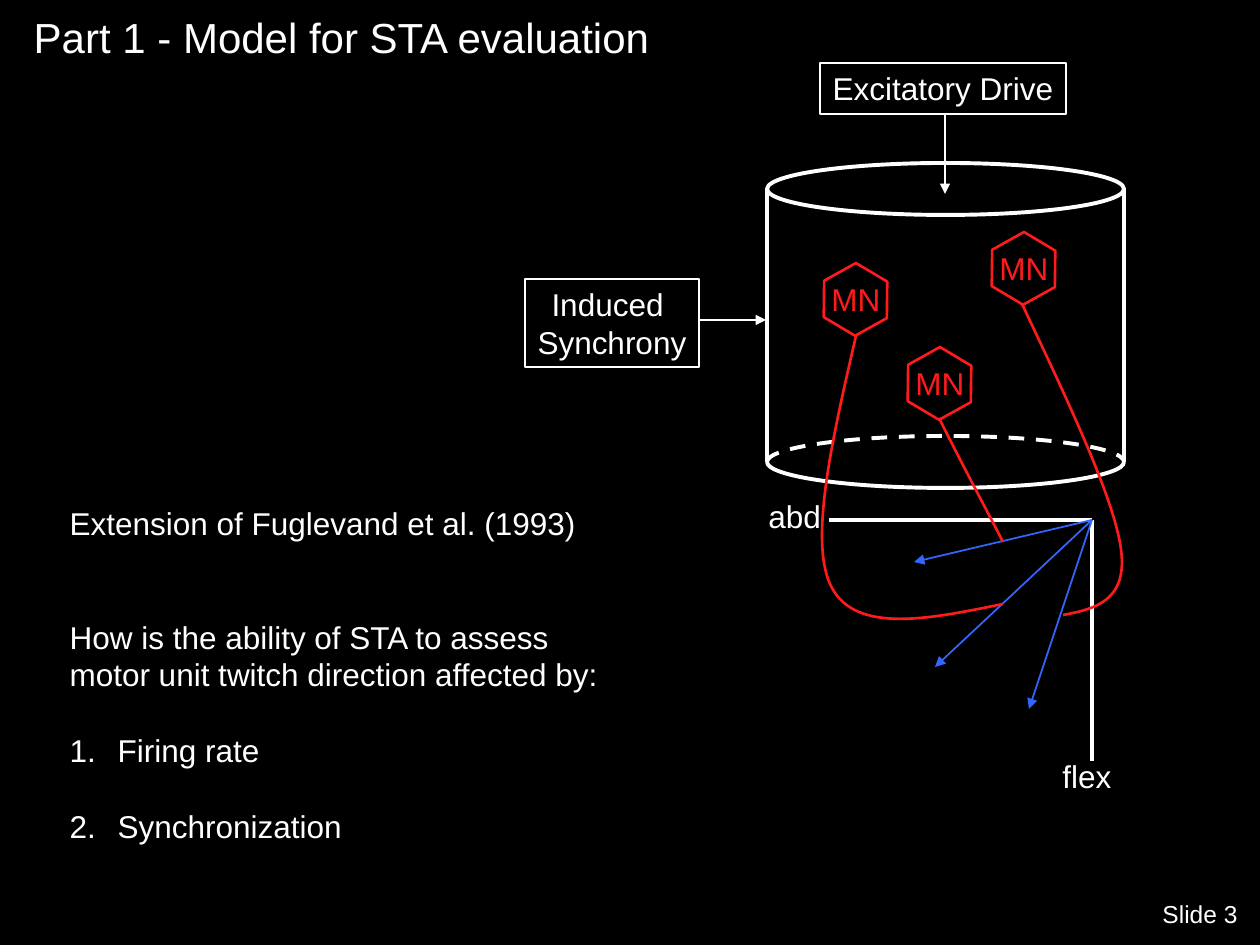
from dataclasses import dataclass

from lxml import etree
from pptx import Presentation
from pptx.dml.color import RGBColor
from pptx.enum.dml import MSO_LINE
from pptx.enum.shapes import MSO_CONNECTOR, MSO_SHAPE
from pptx.enum.text import MSO_ANCHOR, MSO_AUTO_SIZE, PP_ALIGN
from pptx.oxml.ns import qn
from pptx.util import Pt

STRAIGHT = MSO_CONNECTOR.STRAIGHT
RECTANGLE, OVAL, HEXAGON = MSO_SHAPE.RECTANGLE, MSO_SHAPE.OVAL, MSO_SHAPE.HEXAGON
LEFT, CENTER, RIGHT = PP_ALIGN.LEFT, PP_ALIGN.CENTER, PP_ALIGN.RIGHT
TOP, MIDDLE = MSO_ANCHOR.TOP, MSO_ANCHOR.MIDDLE
NO_FIT = MSO_AUTO_SIZE.NONE
DASH = MSO_LINE.DASH
SCALE = 914400 / 126
ARC_HANDLE = 0.55


@dataclass(frozen=True)
class Theme:
    font: str = "Arial"
    paper: RGBColor = RGBColor(0x00, 0x00, 0x00)
    ink: RGBColor = RGBColor(0xFF, 0xFF, 0xFF)
    neuron: RGBColor = RGBColor(0xFF, 0x1B, 0x1B)
    force: RGBColor = RGBColor(0x33, 0x66, 0xFF)
    title: int = 24
    body: int = 18
    footer: int = 14
    heavy: float = 2.25
    medium: float = 1.5
    arrow: float = 1
    frame: float = 0.75


THEME = Theme()


def px(value):
    return round(value * SCALE)


def place(shape, box):
    shape.left, shape.top, shape.width, shape.height = map(px, box)


def style_para(para, color=THEME.ink, size=THEME.body, align=LEFT):
    para.alignment = align
    para.line_spacing = Pt(size * 1.2)
    para.font.name = THEME.font
    para.font.size = Pt(size)
    para.font.color.rgb = color


def write(shape, text, anchor=TOP, wrap=False, **style):
    frame = shape.text_frame
    frame.text = text
    frame.word_wrap = wrap
    frame.auto_size = NO_FIT
    frame.vertical_anchor = anchor
    for para in frame.paragraphs:
        style_para(para, **style)


def add_label(page, box, text, **style):
    write(page.shapes.add_textbox(*map(px, box)), text, **style)


def draw_line(shape, color, width, dash=None):
    shape.line.color.rgb = color
    shape.line.width = Pt(width)
    if dash:
        shape.line.dash_style = dash


def add_outline(page, kind, box, color, width):
    shape = page.shapes.add_shape(kind, *map(px, box))
    shape.shadow.inherit = False
    shape.fill.background()
    draw_line(shape, color, width)
    return shape


def add_line(page, start, end, color=THEME.ink, width=THEME.heavy, arrow=False):
    line = page.shapes.add_connector(STRAIGHT, *map(px, (*start, *end)))
    draw_line(line, color, width)
    properties = line._element.spPr
    if arrow:
        etree.SubElement(properties.find(qn("a:ln")), qn("a:tailEnd"), type="triangle")
    etree.SubElement(properties, qn("a:effectLst"))


def add_curve(page, controls, color, width, dash=None):
    points = [tuple(map(px, point)) for point in controls]
    builder = page.shapes.build_freeform(*points[0])
    builder.add_line_segments(points[1:], close=False)
    curve = builder.convert_to_shape()
    outline = next(curve._element.iter(qn("a:path")))
    segments = outline.findall(qn("a:lnTo"))
    for first in range(0, len(segments), 3):
        bend = etree.SubElement(outline, qn("a:cubicBezTo"))
        for segment in segments[first:first + 3]:
            bend.append(segment[0])
            outline.remove(segment)
    curve.shadow.inherit = False
    curve.fill.background()
    draw_line(curve, color, width, dash)


def add_cylinder(page, box):
    left, top, width, height = box
    radius = 26
    right, middle = left + width, left + width / 2
    rim, base = top + radius, top + height - radius
    add_outline(page, OVAL, (left, top, width, 2 * radius), THEME.ink, THEME.heavy)
    for side in (left, right):
        add_line(page, (side, rim), (side, base))
    reach = ARC_HANDLE * width / 2
    for depth, dash in ((radius, None), (-radius, DASH)):
        bend, edge = base + ARC_HANDLE * depth, base + depth
        arc = [(left, base), (left, bend), (middle - reach, edge), (middle, edge),
               (middle + reach, edge), (right, bend), (right, base)]
        add_curve(page, arc, THEME.ink, THEME.heavy, dash)


def add_input(page, box, text, start, end):
    frame = add_outline(page, RECTANGLE, box, THEME.ink, THEME.frame)
    write(frame, text, align=CENTER)
    left, top = box[:2]
    start, end = ((left + x, top + y) for x, y in (start, end))
    add_line(page, start, end, width=THEME.arrow, arrow=True)


def add_axes(page, box):
    left, top = box[:2]
    corner = (left + 336, top + 30)
    for x, y in ((73, 30), (336, 271)):
        add_line(page, corner, (left + x, top + y))
    add_label(page, (left, top + 1, 77, 50), "abd")
    add_label(page, (left + 294, top + 261, 74, 50), "flex")
    for x, y in ((158, 72), (273, 219), (179, 177)):
        add_line(page, corner, (left + x, top + y), THEME.force, THEME.arrow, True)


def add_neurons(page, box):
    left, top = box[:2]
    for x, y in ((0, 31), (84, 115), (168, 0)):
        add_label(page, (left + x, top + y + 6, 74, 50), "MN", color=THEME.neuron)
        cell = add_outline(page, HEXAGON, (left + x, top + y, 73, 63), THEME.neuron, THEME.medium)
        cell.adjustments[0] = 0.29
        cell.rotation = 30.8
    axons = (
        [(203, 67), (249, 164), (295, 261), (302, 312), (309, 364), (276, 372), (244, 378)],
        [(37, 99), (13, 203), (-11, 307), (13, 351), (38, 397), (111, 382), (184, 367)],
        [(120, 181), (146, 233), (174, 285), (184, 305)],
    )
    for axon in axons:
        add_curve(page, [(left + x, top + y) for x, y in axon], THEME.neuron, THEME.medium)


def fill_title(page, box):
    title = page.shapes.title
    place(title, box)
    write(title, "Part 1 - Model for STA evaluation", MIDDLE, True, size=THEME.title, align=CENTER)


def fill_body(page, box):
    rows = (
        ("Extension of Fuglevand et al. (1993)", 0, False),
        ("How is the ability of STA to assess", 2, False),
        ("motor unit twitch direction affected by:", 0, False),
        ("Firing rate", 1, True),
        ("Synchronization", 1, True),
    )
    body = page.placeholders[1]
    place(body, box)
    write(body, "\n".join(text for text, _, _ in rows), wrap=True)
    for para, (_, gap, numbered) in zip(body.text_frame.paragraphs, rows):
        para.space_before = Pt(gap * THEME.body * 1.2)
        properties = para._p.get_or_add_pPr()
        properties.set("marL", str(px(48)))
        properties.set("indent", str(px(-48)))
        if numbered:
            etree.SubElement(properties, qn("a:buAutoNum"), type="arabicPeriod")
        else:
            etree.SubElement(properties, qn("a:buNone"))
        properties.append(properties.find(qn("a:defRPr")))


def main():
    deck = Presentation()
    deck.slide_width, deck.slide_height = px(1260), px(945)
    page = deck.slides.add_slide(deck.slide_layouts[1])
    page.background.fill.solid()
    page.background.fill.fore_color.rgb = THEME.paper
    fill_title(page, (0, 0, 683, 73))
    fill_body(page, (57, 498, 648, 353))
    add_cylinder(page, (767, 163, 357, 325))
    add_input(page, (820, 63, 246, 51), "Excitatory Drive", (125, 51), (125, 131))
    add_input(page, (525, 279, 174, 88), "Induced \nSynchrony", (174, 41), (241, 41))
    add_axes(page, (756, 490, 368, 311))
    add_neurons(page, (819, 237, 309, 382))
    add_label(page, (1114, 893, 136, 43), "Slide 3", size=THEME.footer, align=RIGHT)
    deck.save("out.pptx")


if __name__ == "__main__":
    main()
